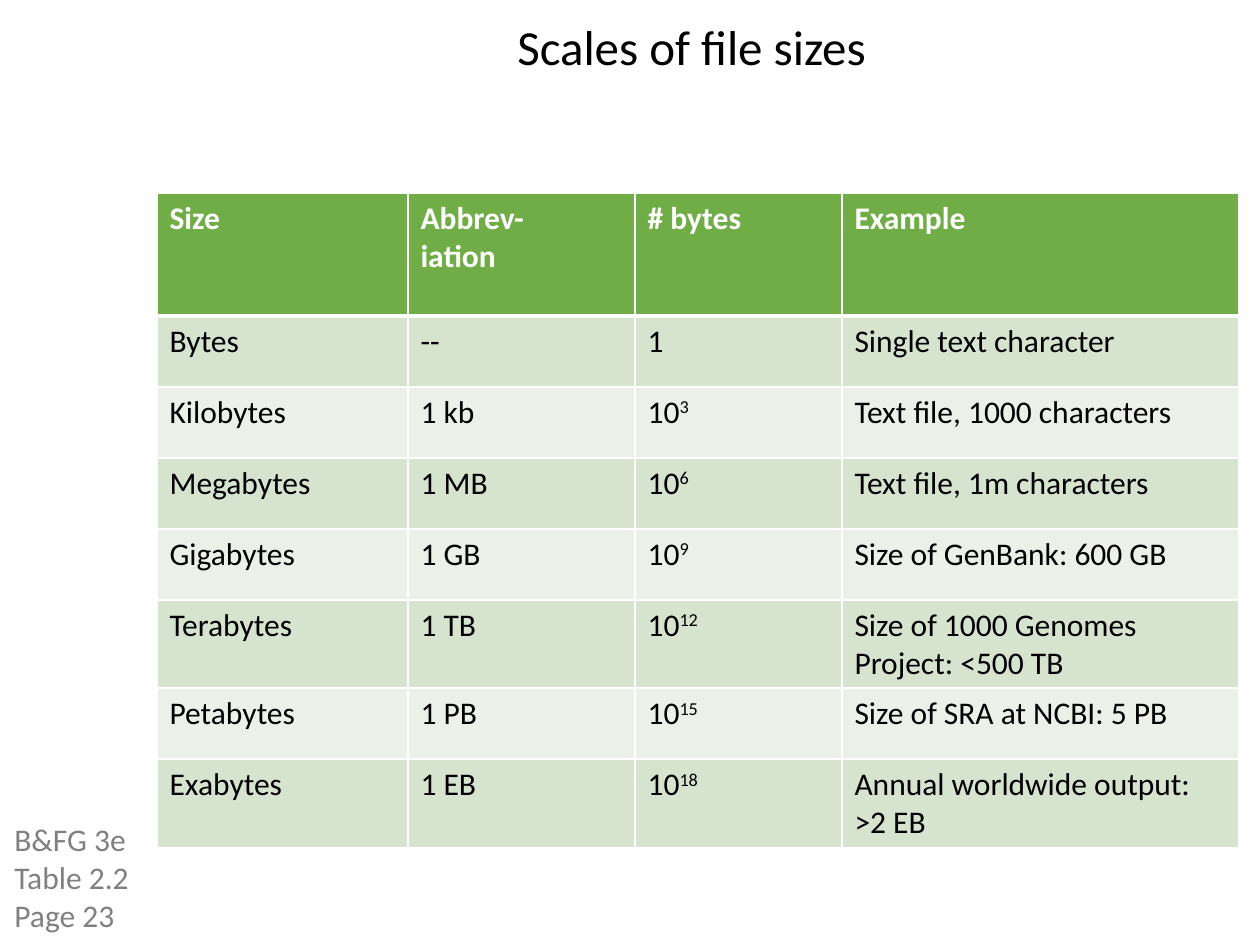
from lxml import etree
from pptx import Presentation
from pptx import util as u
from pptx.dml.color import RGBColor
from pptx.enum import text
from pptx.oxml.ns import qn

# Content: a (base, exponent) pair is set with a superscript
TITLE = "Scales of file sizes"
SOURCE = ["B&FG 3e", "Table 2.2", "Page 23"]
HEADER = ["Size", "Abbrev-\niation", "# bytes", "Example"]
ROWS = [
    ["Bytes", "--", "1", "Single text character"],
    ["Kilobytes", "1 kb", ("10", "3"), "Text file, 1000 characters"],
    ["Megabytes", "1 MB", ("10", "6"), "Text file, 1m characters"],
    ["Gigabytes", "1 GB", ("10", "9"), "Size of GenBank: 600 GB"],
    ["Terabytes", "1 TB", ("10", "12"), "Size of 1000 Genomes Project: <500 TB"],
    ["Petabytes", "1 PB", ("10", "15"), "Size of SRA at NCBI: 5 PB"],
    ["Exabytes", "1 EB", ("10", "18"), "Annual worldwide output: >2 EB"],
]

# Theme and layout, lengths in px
THEME = dict(font="Calibri", title=28, body=18, black="000000", white="FFFFFF",
             grey="808080", header="70AD47", bands=("D5E3CF", "EBF1E9"))
TITLE_BOX = (144, 10, 1095, 72)
SOURCE_BOX = (2, 814, 143, 127)
TABLE_AT = (157, 193)
COLS = [251, 227, 207, 397]
HEADER_H, ROW_H = 123, 71
THIN, THICK = 1, 3


def px(n):
    return u.Emu(round(n * 914400 / 126))


def place(s, box):
    s.left, s.top, s.width, s.height = map(px, box)


def add_run(p, words, size, color, bold=False, raised=False):
    r = p.add_run()
    r.text = words
    r.font.name = THEME["font"]
    r.font.size = u.Pt(size)
    r.font.bold = bold
    r.font.color.rgb = RGBColor.from_string(color)
    if raised:
        r.font._element.set("baseline", "30000")


def add_lines(tf, lines, size, color, bold=False):
    for i, line in enumerate(lines):
        p = tf.paragraphs[0] if i == 0 else tf.add_paragraph()
        add_run(p, line, size, color, bold)


def set_borders(cell, top, bottom):
    tc_pr = cell._tc.get_or_add_tcPr()
    for side, width in (("L", THIN), ("R", THIN), ("T", top), ("B", bottom)):
        ln = etree.SubElement(tc_pr, qn("a:ln" + side), w=str(u.Pt(width)))
        fill = etree.SubElement(ln, qn("a:solidFill"))
        etree.SubElement(fill, qn("a:srgbClr"), val=THEME["white"])


def fill_cell(cell, content, row):
    head = row == 0
    set_borders(cell, THICK if row == 1 else THIN, THICK if head else THIN)
    cell.fill.solid()
    cell.fill.fore_color.rgb = RGBColor.from_string(
        THEME["header"] if head else THEME["bands"][(row - 1) % 2])
    color = THEME["white"] if head else THEME["black"]
    if isinstance(content, tuple):
        p = cell.text_frame.paragraphs[0]
        for i, part in enumerate(content):
            add_run(p, part, THEME["body"], color, raised=i == 1)
    else:
        add_lines(cell.text_frame, content.split("\n"), THEME["body"], color, head)


def main():
    prs = Presentation()
    prs.slide_width, prs.slide_height = u.Inches(10), u.Inches(7.5)
    slide = prs.slides.add_slide(prs.slide_layouts[5])

    # Title
    title = slide.shapes.title
    place(title, TITLE_BOX)
    tf = title.text_frame
    tf.auto_size = text.MSO_AUTO_SIZE.SHAPE_TO_FIT_TEXT
    tf.vertical_anchor = text.MSO_ANCHOR.TOP
    tf.paragraphs[0].alignment = text.PP_ALIGN.CENTER
    add_lines(tf, [TITLE], THEME["title"], THEME["black"])

    # Source note
    note = slide.shapes.add_textbox(*map(px, SOURCE_BOX))
    note.text_frame.word_wrap = False
    note.text_frame.auto_size = text.MSO_AUTO_SIZE.SHAPE_TO_FIT_TEXT
    add_lines(note.text_frame, SOURCE, THEME["body"], THEME["grey"])

    # Table
    heights = [HEADER_H] + [ROW_H] * len(ROWS)
    table = slide.shapes.add_table(
        len(heights), len(COLS), *map(px, (*TABLE_AT, sum(COLS), sum(heights)))).table
    for column, width in zip(table.columns, COLS):
        column.width = px(width)
    for i, (height, contents) in enumerate(zip(heights, [HEADER] + ROWS)):
        table.rows[i].height = px(height)
        for j, content in enumerate(contents):
            fill_cell(table.cell(i, j), content, i)

    prs.save("out.pptx")


if __name__ == "__main__":
    main()
